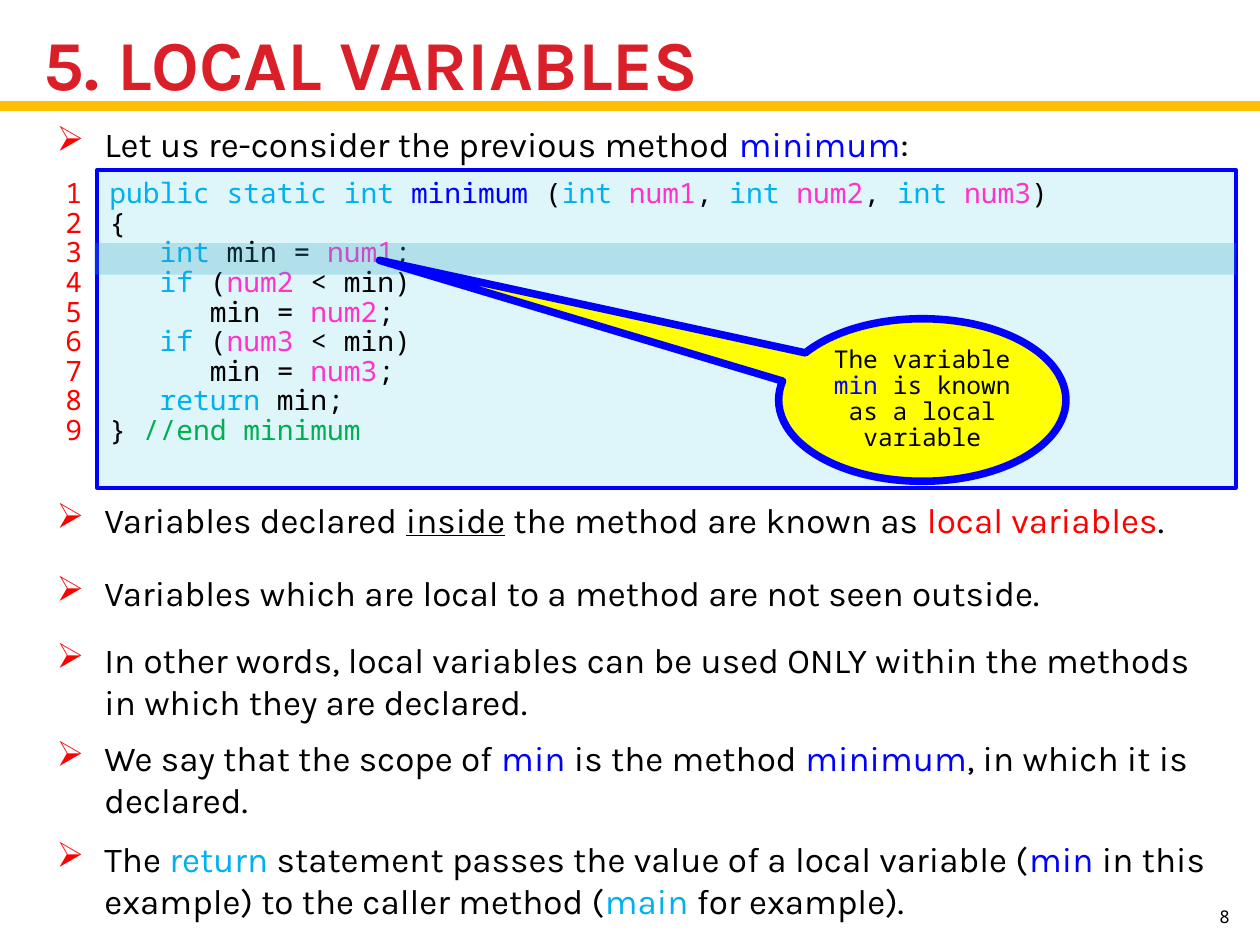
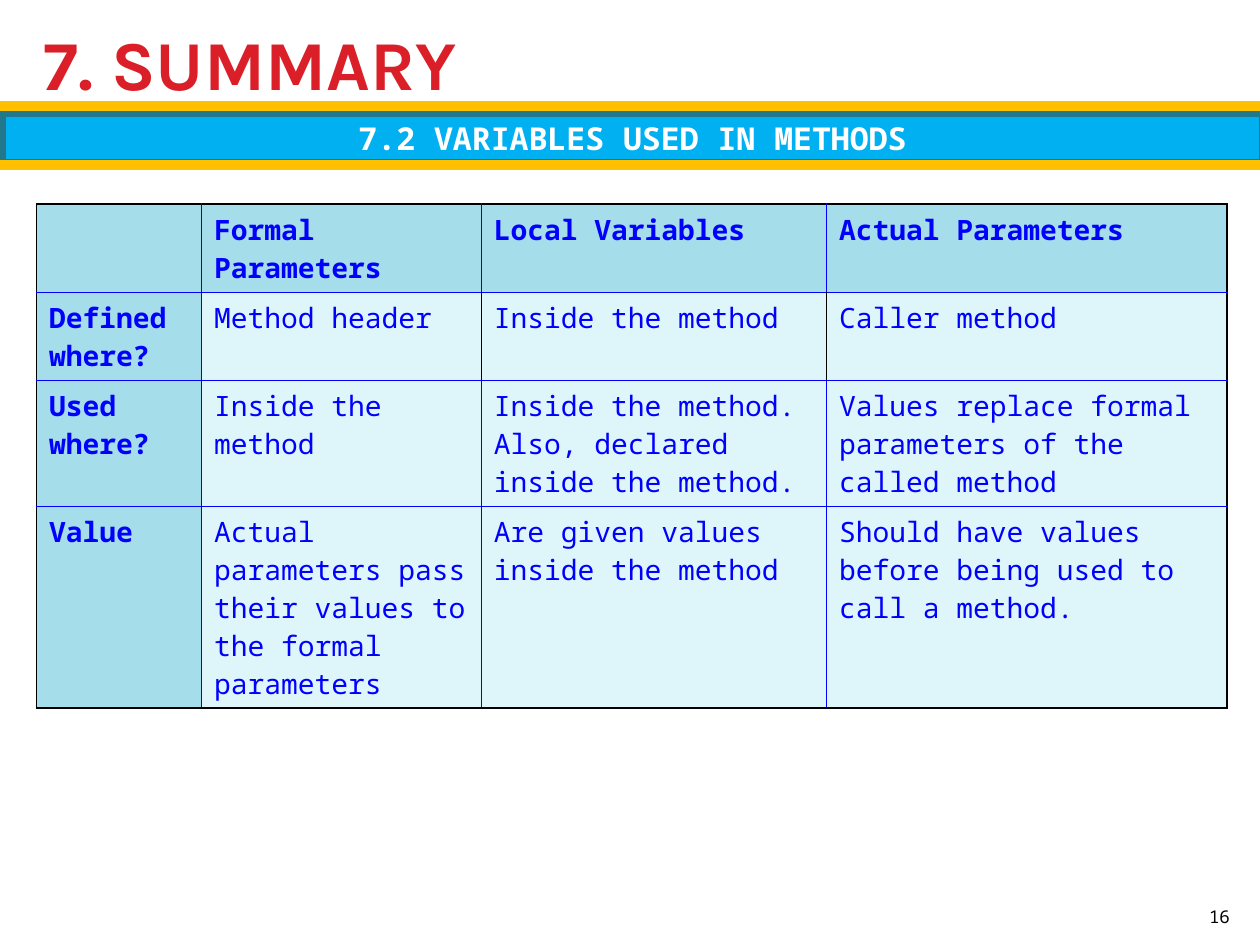
import lxml.etree
import pptx
import pptx.dml.color
import pptx.enum.shapes
import pptx.enum.text
import pptx.oxml.ns
import pptx.util
from dataclasses import dataclass, field

# ---- content: text between bars is "colour key:words" ----
POINTS = [  # (top row, lines, text)
    (0.92, 1, "Let us re-consider the previous method |b:minimum|:"),
    (3.91, 1, "Variables declared |u:inside| the method are known as |r:local variables|."),
    (4.49, 1, "Variables which are local to a method are not seen outside."),
    (5.02, 2, "In other words, local variables can be used ONLY within the methods "
              "in which they are declared."),
    (5.8, 2, "We say that the scope of |b:min |is the method |b:minimum|, "
             "in which it is declared."),
    (6.6, 2, "The |c:return |statement passes the value of a local variable (|b:min |"
             "in this example) to the caller method (|c:main |for example)."),
]
CODE = [
    "|c:public static int ||b:minimum |(|c:int ||p:num1|, |c:int ||p:num2|, |c:int ||p:num3|)",
    "{",
    "   |c:int| min = |p:num1|;",
    "   |c:if| (|p:num2| < min)",
    "      min = |p:num2|;",
    "   |c:if| (|p:num3 |< min)",
    "      min = |p:num3|;",
    "   |c:return| min;",
    "}|g: //end minimum|",
]
NOTE = "The variable |b:min |is known as a local variable"
BANNER = "7.2 VARIABLES USED IN METHODS"
TABLE = [
    ["", "Formal Parameters", "Local Variables", "Actual Parameters"],
    ["Defined where?", "Method header", "Inside the method", "Caller method"],
    ["Used where?", "Inside the method",
     "Inside the method. Also, declared inside the method.",
     "Values replace formal parameters of the called method"],
    ["Value", "Actual parameters pass their values to the formal parameters",
     "Are given values inside the method",
     "Should have values before being used to call a method."],
]
COLS = [1.31, 2.22, 2.74, 3.18]
LINES = [2, 2, 3, 5]  # text lines in each table row
DARK = {(1, 1), (1, 2)}  # cells whose right edge is black


@dataclass
class Theme:
    sans: str = "Karla"
    mono: str = "Noto Sans Mono"
    size: dict = field(default_factory=lambda: dict(
        title=40, body=20, code=16, note=14, banner=18, page=10))
    ink: dict = field(default_factory=lambda: dict(
        k="000000", u="000000", b="0000FF", r="FF0000", c="00B0F0", p="FF33CC",
        g="00B050", title="DA1F28", gold="FFC000", pale="DEF5FA", head="A6DDEA",
        teal="2DA2BF", edge="21788D", sun="FFFF00", white="FFFFFF"))


LOOK = Theme()
SHAPE = pptx.enum.shapes.MSO_SHAPE
ALIGN = pptx.enum.text.PP_ALIGN
ANCHOR = pptx.enum.text.MSO_ANCHOR
Pt = pptx.util.Pt
qn = pptx.oxml.ns.qn

deck = pptx.Presentation()
deck.slide_width, deck.slide_height = pptx.util.Inches(10), pptx.util.Inches(7.5)
UNIT = deck.slide_width // 10  # grid of 10 columns by 7.5 rows


def grid(*nums):
    return [round(n * UNIT) for n in nums]


def tint(name):
    return pptx.dml.color.RGBColor.from_string(LOOK.ink[name])


def apply(thing, vals):
    for key, val in vals.items():
        setattr(thing, key, val)


def node(root, tag, **atts):
    return lxml.etree.SubElement(root, qn("a:" + tag), atts)


def dot(para):
    """Give a paragraph its hanging arrow bullet."""
    props = para._p.get_or_add_pPr()
    indent, = grid(0.38)
    props.set("marL", str(indent))
    props.set("indent", str(-indent))
    node(node(props, "buClr"), "srgbClr", val=LOOK.ink["r"])
    node(props, "buChar", char="➢")


def write(frame, rows, size, face=LOOK.mono, ink="k", bold=False,
          align=None, gap=None, mark=False, **form):
    apply(frame, dict(word_wrap=True, **form))
    for i, row in enumerate(rows):
        para = frame.add_paragraph() if i else frame.paragraphs[0]
        apply(para, dict(alignment=align, line_spacing=gap))
        if mark:
            dot(para)
        for j, part in enumerate(row.split("|")):
            key, words = part.split(":", 1) if j % 2 else (ink, part)
            if words:
                run = para.add_run()
                run.text = words
                apply(run.font, dict(name=face, size=Pt(LOOK.size[size]), bold=bold,
                                     underline=key == "u" or None))
                run.font.color.rgb = tint(key)


def text(slide, place, rows, size, **form):
    box = slide.shapes.add_textbox(*grid(*place))
    write(box.text_frame, rows, size, **form)


def block(slide, place, fill, kind=SHAPE.RECTANGLE, edge=None, wide=0):
    box = slide.shapes.add_shape(kind, *grid(*place))
    box.shadow.inherit = False
    box.fill.solid()
    box.fill.fore_color.rgb = tint(fill)
    if edge:
        box.line.color.rgb = tint(edge)
        box.line.width = Pt(wide)
    else:
        box.line.fill.background()
    return box


def rule(slide, row):
    bar = slide.shapes.add_connector(
        pptx.enum.shapes.MSO_CONNECTOR.STRAIGHT, *grid(0, row, 10, row))
    bar.line.color.rgb = tint("gold")
    bar.line.width = Pt(6)
    node(bar._element.spPr, "effectLst")


def start(title, page):
    """Add a slide with its title, gold rule and page number."""
    slide = deck.slides.add_slide(deck.slide_layouts[6])
    rule(slide, 0.84)
    text(slide, (0.25, 0.17, 9.47, 0.65), [title], "title", face=LOOK.sans,
         ink="title", bold=True, vertical_anchor=ANCHOR.MIDDLE)
    text(slide, (9.36, 7.01, 0.5, 0.4), [str(page)], "page",
         align=ALIGN.RIGHT, vertical_anchor=ANCHOR.BOTTOM)
    return slide


def local():
    slide = start("5. LOCAL VARIABLES", 8)
    for top, lines, words in POINTS:
        text(slide, (0.35, top, 9.45, 0.11 + 0.33 * lines), [words], "body",
             face=LOOK.sans, mark=True)
    top, tall = 1.35, 2.52
    form = dict(gap=0.88, margin_top=grid(0.08)[0], vertical_anchor=ANCHOR.TOP)
    code = block(slide, (0.77, top, 9.04, tall), "pale", edge="b", wide=2.25)
    write(code.text_frame, CODE, "code", align=ALIGN.LEFT, **form)
    nums = [str(n + 1) for n in range(len(CODE))]
    text(slide, (0.2, top, 0.55, tall), nums, "code", ink="r", align=ALIGN.RIGHT, **form)
    band = block(slide, (0.75, 1.93, 9.06, 0.25), "teal")
    shade = band._element.spPr.find(qn("a:solidFill"))[0]
    node(shade, "alpha", val="25000")
    note = block(slide, (6.18, 2.53, 2.28, 1.29), "sun", SHAPE.OVAL_CALLOUT, "b", 4.33)
    note.adjustments[0], note.adjustments[1] = -1.89, -0.86
    side, = grid(0.05)
    write(note.text_frame, [NOTE], "note", align=ALIGN.CENTER, gap=0.88,
          margin_left=side, margin_right=side, vertical_anchor=ANCHOR.MIDDLE)


def frame(cell, inks):
    """Draw the left, right, top and bottom edges of a cell."""
    props = cell._tc.get_or_add_tcPr()
    for i, (side, ink) in enumerate(zip("LRTB", inks)):
        edge = lxml.etree.Element(qn("a:ln" + side), {"w": str(Pt(1))})
        node(node(edge, "solidFill"), "srgbClr", val=LOOK.ink[ink])
        props.insert(i, edge)


def summary():
    slide = start("7. SUMMARY", 16)
    bar = block(slide, (0.02, 0.9, 10, 0.39), "c", edge="edge", wide=4.33)
    write(bar.text_frame, [BANNER], "banner", ink="white", bold=True,
          align=ALIGN.CENTER, vertical_anchor=ANCHOR.MIDDLE)
    tree = slide.shapes._spTree
    tree.insert(2, bar._element)  # banner lies under the gold rules
    rule(slide, 1.31)
    highs = [0.1 + 0.3 * n for n in LINES]
    table = slide.shapes.add_table(
        len(TABLE), len(COLS), *grid(0.29, 1.62, sum(COLS), sum(highs))).table
    apply(table, dict(first_row=False, horz_banding=False))
    for col, wide in zip(table.columns, grid(*COLS)):
        col.width = wide
    for row, high in zip(table.rows, grid(*highs)):
        row.height = high
    for r, row in enumerate(TABLE):
        for c, words in enumerate(row):
            cell, head = table.cell(r, c), r == 0 or c == 0
            cell.fill.solid()
            cell.fill.fore_color.rgb = tint("head" if head else "pale")
            write(cell.text_frame, [words], "code", ink="b", bold=head)
            black = (c == 0 or (r, c - 1) in DARK,
                     c == len(COLS) - 1 or (r, c) in DARK,
                     r == 0, r == len(TABLE) - 1)
            frame(cell, ["k" if b else "b" for b in black])


if __name__ == "__main__":
    local()
    summary()
    deck.save("out.pptx")
